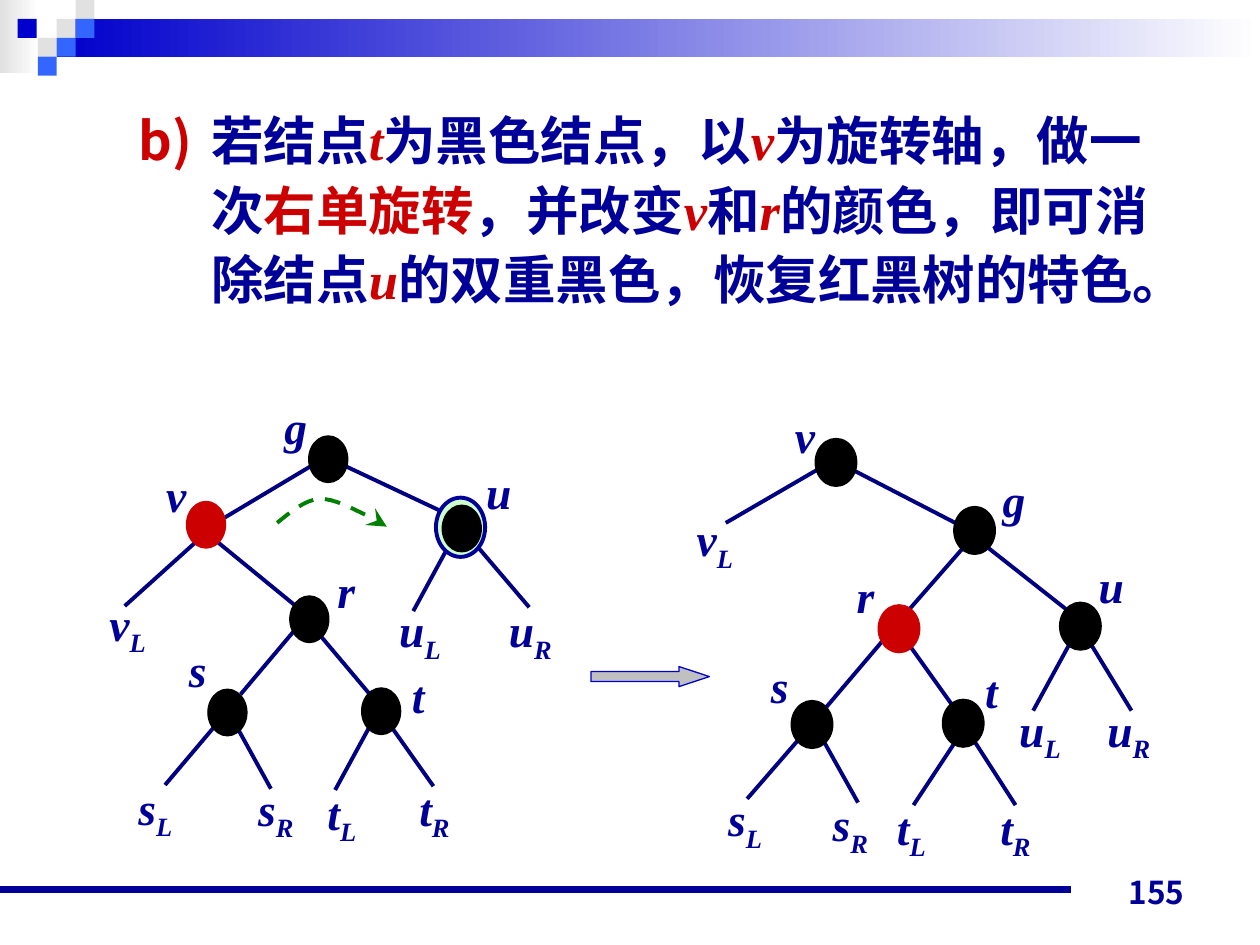
from dataclasses import dataclass

from lxml import etree
from pptx import Presentation
from pptx.dml.color import RGBColor
from pptx.enum.dml import MSO_LINE
from pptx.enum.shapes import MSO_CONNECTOR, MSO_SHAPE
from pptx.enum.text import MSO_ANCHOR, PP_ALIGN
from pptx.oxml.ns import qn
from pptx.util import Inches, Pt

RECTANGLE, OVAL, ARROW = MSO_SHAPE.RECTANGLE, MSO_SHAPE.OVAL, MSO_SHAPE.RIGHT_ARROW
STRAIGHT, DASH = MSO_CONNECTOR.STRAIGHT, MSO_LINE.DASH
JUSTIFY, RIGHT = PP_ALIGN.JUSTIFY, PP_ALIGN.RIGHT
BOTTOM = MSO_ANCHOR.BOTTOM
SERIF, SANS = "Times New Roman", "Noto Sans CJK JP"
NAVY, EDGE, RED, BLACK, WHITE = "000099", "000080", "CC0000", "000000", "FFFFFF"
BLUE, SKY, GRAY = "0000CC", "3366FF", "E1E1E1"
COLUMNS, ROWS = 100, 75


@dataclass
class Node:
    column: float
    row: float
    color: str = BLACK


@dataclass
class Label:
    text: str
    column: float
    row: float


@dataclass
class Edge:
    start: tuple[float, float]
    end: tuple[float, float]


@dataclass
class Tree:
    node_size: tuple[float, float]
    label_size: tuple[float, float]
    nodes: list[Node]
    labels: list[Label]
    edges: list[Edge]


BEFORE = Tree(
    (3.1, 3.7), (9.7, 8.5),
    [Node(24.5, 34.6), Node(14.8, 39.8, RED), Node(23, 47.3), Node(35.1, 40.1),
     Node(16.5, 54.7), Node(28.7, 54.6)],
    [Label("g", 21.6, 31.2), Label("v", 12.2, 36.6), Label("u", 37.6, 36.3),
     Label("r", 25.8, 44.2), Label("s", 14, 50.5), Label("t", 31.7, 52.5),
     Label("v_L", 7.7, 46.8), Label("u_L", 30.7, 47.3), Label("u_R", 39.4, 47.3),
     Label("s_L", 10, 61.4), Label("s_R", 19.5, 61.5),
     Label("t_L", 25, 61.8), Label("t_R", 32.3, 61.5)],
    [Edge((27, 36.8), (35.5, 40.8)), Edge((25.5, 36.5), (17.8, 41.1)),
     Edge((35.9, 42.8), (32.8, 48.5)), Edge((37.4, 42.8), (42, 48.2)),
     Edge((17, 42.8), (23.6, 48.2)), Edge((15.9, 42.7), (9.9, 48.1)),
     Edge((25.3, 50.3), (29.6, 55.4)), Edge((23.4, 50), (19.1, 55.1)),
     Edge((18.8, 57.7), (21.5, 62.6)), Edge((17.5, 57.1), (13.1, 62.3)),
     Edge((31, 57.6), (34.4, 62.4)), Edge((29.7, 57), (26.6, 62.7))],
)
AFTER = Tree(
    (3.3, 3.8), (10.2, 8.8),
    [Node(64.7, 34.8), Node(75.7, 40.2), Node(69.7, 48, RED), Node(84.1, 47.8),
     Node(62.8, 55.6), Node(74.8, 55.5)],
    [Label("v", 62.1, 31.9), Label("g", 78.6, 37), Label("u", 86.2, 43.8),
     Label("r", 67, 44.6), Label("s", 60.2, 51.7), Label("t", 77.2, 52.1),
     Label("v_L", 54.3, 40.1), Label("u_L", 79.9, 55.2), Label("u_R", 86.9, 55.2),
     Label("s_L", 56.8, 62.3), Label("s_R", 65.1, 62.7),
     Label("t_L", 70.2, 63), Label("t_R", 78.4, 63)],
    [Edge((67.3, 37.1), (76.4, 41.8)), Edge((65.7, 36.8), (57.6, 41.5)),
     Edge((76.6, 43.3), (71, 49.7)), Edge((78.2, 43.3), (84.8, 48.5)),
     Edge((72.1, 51.1), (76.1, 56.7)), Edge((70.1, 50.8), (65.6, 56.1)),
     Edge((86.2, 50.5), (89.8, 56.4)), Edge((85, 50.9), (82, 56.4)),
     Edge((65.3, 58.7), (68.1, 63.7)), Edge((63.9, 58.1), (59.3, 63.4)),
     Edge((76.8, 58), (80.6, 63.9)), Edge((76.4, 58), (72.5, 63.9))],
)
SENTENCE = ["若结点", "*t", "为黑色结点，以", "*v", "为旋转轴，做一次", "!右单旋转", "，并改变",
            "*v", "和", "*r", "的颜色，即可消除结点", "*u", "的双重黑色，恢复红黑树的特色。"]
SQUARES = [(4.5, 1.5, GRAY), (6, 0, GRAY), (6, 1.5, SKY), (3, 3, GRAY),
           (1.4, 1.5, BLUE), (4.5, 3, SKY), (3, 4.5, SKY)]
ROTATION = [[(22, 41.5), (23.1, 40.6), (24.2, 39.7), (25.3, 39.6)],
            [(25.3, 39.6), (26.5, 39.5), (28.2, 40.5), (29.1, 40.9)],
            [(29.1, 40.9), (30, 41.2), (30.4, 41.7), (30.7, 41.8)]]

presentation = Presentation()
presentation.slide_width, presentation.slide_height = Inches(10), Inches(7.5)
slide = presentation.slides.add_slide(presentation.slide_layouts[6])


def color_of(value: str) -> RGBColor:
    return RGBColor.from_string(value)


def across(column: float) -> int:
    return round(presentation.slide_width * column / COLUMNS)


def down(row: float) -> int:
    return round(presentation.slide_height * row / ROWS)


def place(column: float, row: float, width: float, height: float) -> tuple[int, ...]:
    return across(column), down(row), across(width), down(height)


def add_filled(kind, box: tuple, fill: str, line: str = "", weight: float = 0.75):
    shape = slide.shapes.add_shape(kind, *place(*box))
    shape.shadow.inherit = False
    shape.fill.solid()
    shape.fill.fore_color.rgb = color_of(fill)
    if line:
        shape.line.color.rgb = color_of(line)
        shape.line.width = Pt(weight)
    else:
        shape.line.fill.background()
    return shape


def add_gradient(box: tuple, start: str) -> None:
    shape = add_filled(RECTANGLE, box, WHITE)
    shape.fill.gradient()
    shape.fill.gradient_angle = 0
    for stop, color in zip(shape.fill.gradient_stops, (start, WHITE)):
        stop.color.rgb = color_of(color)


def add_line(edge: Edge, color: str, weight: float) -> None:
    line = slide.shapes.add_connector(
        STRAIGHT, across(edge.start[0]), down(edge.start[1]), across(edge.end[0]), down(edge.end[1]))
    line.line.color.rgb = color_of(color)
    line.line.width = Pt(weight)
    etree.SubElement(line._element.spPr, qn("a:effectLst"))


def add_text_box(box: tuple):
    text_frame = slide.shapes.add_textbox(*place(*box)).text_frame
    text_frame.word_wrap = True
    return text_frame


def add_run(paragraph, text: str, size: float, color: str = NAVY, italic: bool = False, font: str = SERIF):
    run = paragraph.add_run()
    run.text = text
    run.font.size, run.font.name = Pt(size), font
    run.font.bold, run.font.italic = True, italic
    run.font.color.rgb = color_of(color)
    return run


def add_label(label: Label, size: tuple[float, float]) -> None:
    paragraph = add_text_box((label.column, label.row, *size)).paragraphs[0]
    paragraph.alignment = JUSTIFY
    name, _, side = label.text.partition("_")
    add_run(paragraph, name, 26, italic=True)
    if side:
        subscript = add_run(paragraph, side, 26, italic=True)
        subscript.font._element.set("baseline", "-25000")


def add_tree(tree: Tree) -> None:
    for label in tree.labels:
        add_label(label, tree.label_size)
    for edge in tree.edges:
        add_line(edge, EDGE, 2.25)
    if tree is BEFORE:
        add_filled(OVAL, (34.6, 39.5, 3.9, 4.7), "CCFFCC", NAVY, 2.25)
    for node in tree.nodes:
        add_filled(OVAL, (node.column, node.row, *tree.node_size), node.color, node.color)


def add_sentence() -> None:
    paragraph = add_text_box((5, 7.6, 90, 24.8)).paragraphs[0]
    paragraph.line_spacing = 1.1
    properties = paragraph._p.get_or_add_pPr()
    properties.set("marL", str(across(10.8)))
    properties.set("indent", str(across(-5.8)))
    bullet_color = etree.SubElement(properties, qn("a:buClr"))
    etree.SubElement(bullet_color, qn("a:srgbClr"), val=RED)
    etree.SubElement(properties, qn("a:buFont"), typeface=SANS)
    etree.SubElement(properties, qn("a:buAutoNum"), type="alphaLcParenR", startAt="2")
    for part in SENTENCE:
        marked = part[0] in "*!"
        add_run(paragraph, part.lstrip("*!"), 30, RED if marked else NAVY, part[0] == "*")


def bezier(points: list, share: float) -> tuple[int, int]:
    weights = [(1 - share) ** 3, 3 * share * (1 - share) ** 2, 3 * share ** 2 * (1 - share), share ** 3]
    column, row = (sum(w * p[axis] for w, p in zip(weights, points)) for axis in (0, 1))
    return across(column), down(row)


def add_rotation() -> None:
    points = [bezier(curve, step / 8) for curve in ROTATION for step in range(1, 9)]
    builder = slide.shapes.build_freeform(*bezier(ROTATION[0], 0))
    builder.add_line_segments(points, close=False)
    shape = builder.convert_to_shape()
    shape.shadow.inherit = False
    shape.fill.background()
    shape.line.color.rgb = color_of("008000")
    shape.line.width, shape.line.dash_style = Pt(2.25), DASH
    etree.SubElement(shape.line._get_or_add_ln(), qn("a:tailEnd"), type="stealth", w="lg", len="lg")


add_gradient((0, 0, 3.1, 5.8), GRAY)
add_gradient((4.5, 1.5, 95.5, 3), BLUE)
for column, row, color in SQUARES:
    add_filled(RECTANGLE, (column, row, 1.5, 1.5), color)
add_line(Edge((0, 70.6), (85, 70.6)), NAVY, 4.5)
page_number = add_text_box((71.7, 67.8, 23.3, 5))
page_number.vertical_anchor = BOTTOM
page_number.paragraphs[0].alignment = RIGHT
add_run(page_number.paragraphs[0], "155", 18, font=SANS)
add_sentence()
add_tree(BEFORE)
add_rotation()
add_tree(AFTER)
arrow = add_filled(ARROW, (46.9, 52.9, 9.4, 1.6), "C0C0C0", BLUE)
arrow.adjustments[1] = 1.51
presentation.save("out.pptx")
